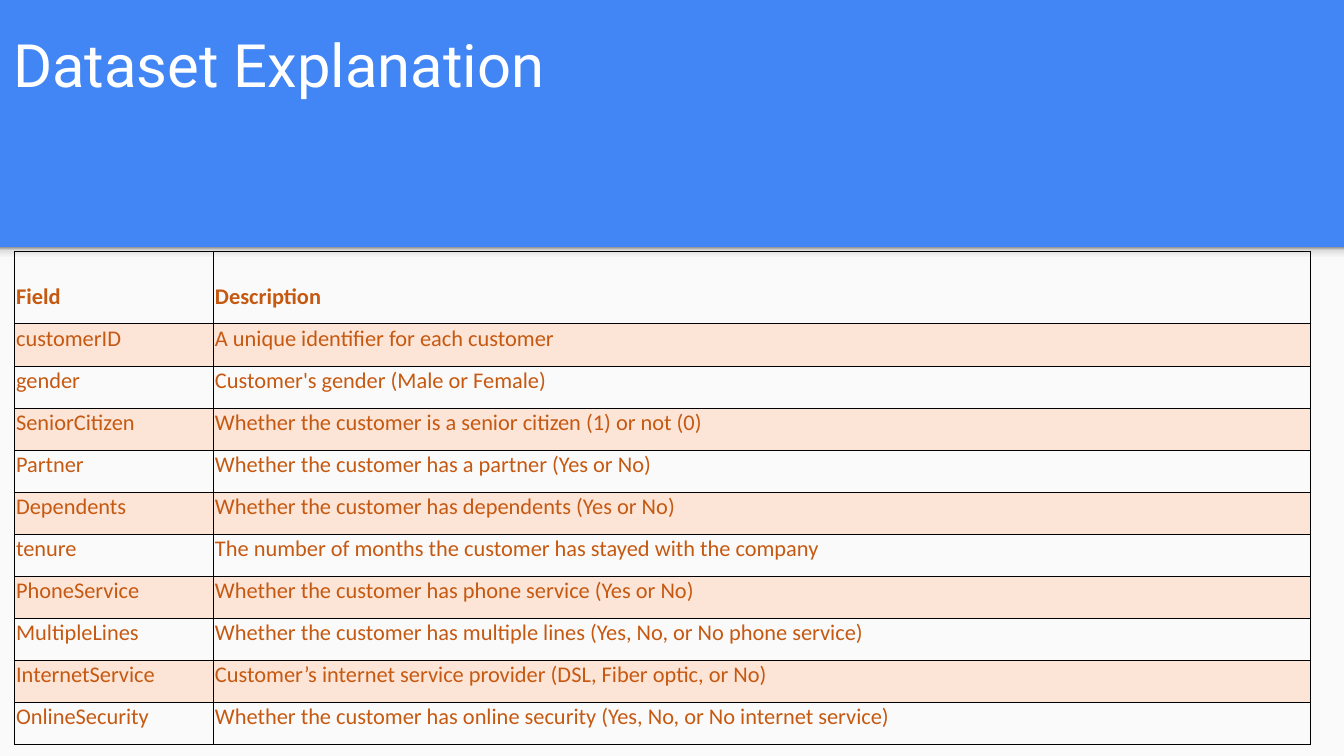
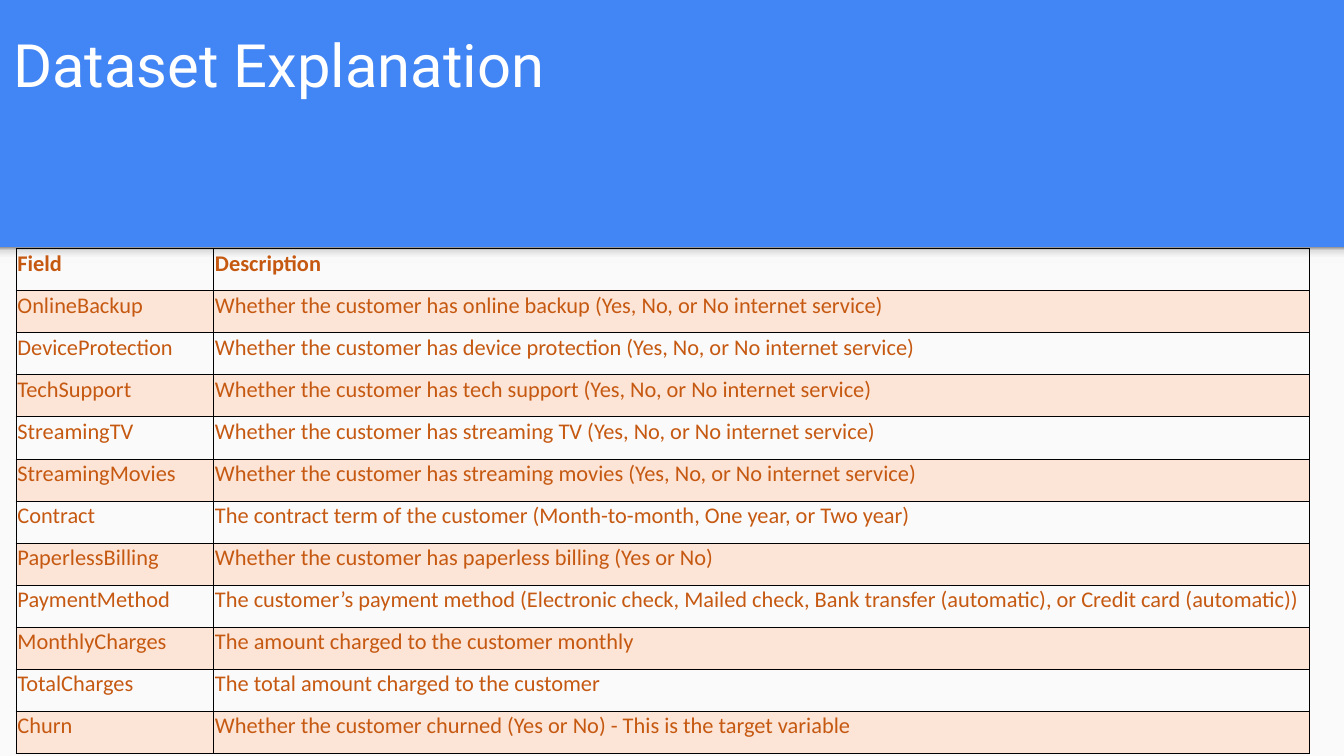
from dataclasses import dataclass

from lxml.etree import SubElement
from pptx import Presentation
from pptx.dml.color import RGBColor
from pptx.enum.shapes import MSO_SHAPE
from pptx.enum.text import MSO_ANCHOR
from pptx.oxml.ns import qn
from pptx.util import Inches, Pt


@dataclass(frozen=True)
class Theme:
    blue: str = "4285F4"
    panel: str = "FAFAFA"
    white: str = "FFFFFF"
    table_text: str = "C65911"
    stripe: str = "FCE4D6"
    border: str = "000000"
    shadow_stops: tuple = ((0, "F9F9F9"), (36, "F9F9F9"), (80, "DEDEDE"), (100, "999999"))
    title_font: str = "Roboto"
    table_font: str = "Calibri"
    title_size: int = 32
    table_size: int = 12
    border_width: float = 0.5


THEME = Theme()
SLIDE_WIDTH = 10
SLIDE_HEIGHT = SLIDE_WIDTH * 9 / 16
PANEL_TOP = 1.84
SHADOW_HEIGHT = 0.12
ROW_HEIGHT = 0.22  # rows grow to fit their text
CELL_BOTTOM_MARGIN = 7.4 / 72
HEADER = ("Field", "Description")

ACCOUNT_FIELDS = [
    ("customerID", "A unique identifier for each customer"),
    ("gender", "Customer's gender (Male or Female)"),
    ("SeniorCitizen", "Whether the customer is a senior citizen (1) or not (0)"),
    ("Partner", "Whether the customer has a partner (Yes or No)"),
    ("Dependents", "Whether the customer has dependents (Yes or No)"),
    ("tenure", "The number of months the customer has stayed with the company"),
    ("PhoneService", "Whether the customer has phone service (Yes or No)"),
    ("MultipleLines", "Whether the customer has multiple lines (Yes, No, or No phone service)"),
    ("InternetService", "Customer’s internet service provider (DSL, Fiber optic, or No)"),
    ("OnlineSecurity", "Whether the customer has online security (Yes, No, or No internet service)"),
]

SERVICE_FIELDS = [
    ("OnlineBackup", "Whether the customer has online backup (Yes, No, or No internet service)"),
    ("DeviceProtection", "Whether the customer has device protection (Yes, No, or No internet service)"),
    ("TechSupport", "Whether the customer has tech support (Yes, No, or No internet service)"),
    ("StreamingTV", "Whether the customer has streaming TV (Yes, No, or No internet service)"),
    ("StreamingMovies", "Whether the customer has streaming movies (Yes, No, or No internet service)"),
    ("Contract", "The contract term of the customer (Month-to-month, One year, or Two year)"),
    ("PaperlessBilling", "Whether the customer has paperless billing (Yes or No)"),
    ("PaymentMethod", "The customer’s payment method (Electronic check, Mailed check, "
                      "Bank transfer (automatic), or Credit card (automatic))"),
    ("MonthlyCharges", "The amount charged to the customer monthly"),
    ("TotalCharges", "The total amount charged to the customer"),
    ("Churn", "Whether the customer churned (Yes or No) - This is the target variable"),
]


def rgb(color):
    return RGBColor.from_string(color)


def write_text(text_frame, text, *, font, size, color, bold=False):
    run = text_frame.paragraphs[0].add_run()
    run.text = text
    run.font.name = font
    run.font.size = Pt(size)
    run.font.bold = bold
    run.font.color.rgb = rgb(color)


def set_margins(holder, left, top, right, bottom):
    """Set the inner margins of a text frame or a table cell."""
    holder.margin_left, holder.margin_top = Inches(left), Inches(top)
    holder.margin_right, holder.margin_bottom = Inches(right), Inches(bottom)


def add_band(slide, top, height):
    band = slide.shapes.add_shape(
        MSO_SHAPE.RECTANGLE, 0, Inches(top), Inches(SLIDE_WIDTH), Inches(height))
    band.shadow.inherit = False
    band.line.fill.background()
    return band


def fill_gradient(shape, stops, angle):
    """Fill with (percent, colour) stops; the angle runs counter-clockwise."""
    shape.fill.gradient()
    shape.fill.gradient_angle = angle
    stop_list = shape._element.spPr.find(qn("a:gradFill")).find(qn("a:gsLst"))
    for stop in list(stop_list):
        stop_list.remove(stop)
    for percent, color in stops:
        stop = SubElement(stop_list, qn("a:gs"), pos=str(percent * 1000))
        SubElement(stop, qn("a:srgbClr"), val=color)


def add_panel(slide):
    """Draw the light lower panel and the soft shadow along its top edge."""
    panel = add_band(slide, PANEL_TOP, SLIDE_HEIGHT - PANEL_TOP)
    panel.fill.solid()
    panel.fill.fore_color.rgb = rgb(THEME.panel)
    fill_gradient(add_band(slide, PANEL_TOP, SHADOW_HEIGHT), THEME.shadow_stops, 90)


def add_title(slide, text):
    text_frame = slide.shapes.add_textbox(0, 0, Inches(8.99), Inches(0.84)).text_frame
    text_frame.word_wrap = True
    text_frame.vertical_anchor = MSO_ANCHOR.BOTTOM
    set_margins(text_frame, 0.1, 0.1, 0.1, 0.1)
    write_text(text_frame, text, font=THEME.title_font, size=THEME.title_size,
               color=THEME.white)


def add_borders(cell):
    properties = cell._tc.get_or_add_tcPr()
    for side in ("lnL", "lnR", "lnT", "lnB"):
        line = SubElement(properties, qn(f"a:{side}"), w=str(Pt(THEME.border_width)))
        SubElement(SubElement(line, qn("a:solidFill")), qn("a:srgbClr"), val=THEME.border)


def format_cell(cell, text, *, bold, striped):
    cell.vertical_anchor = MSO_ANCHOR.BOTTOM
    set_margins(cell, 0.01, 0.01, 0.01, CELL_BOTTOM_MARGIN)
    add_borders(cell)
    if striped:
        cell.fill.solid()
        cell.fill.fore_color.rgb = rgb(THEME.stripe)
    else:
        cell.fill.background()
    write_text(cell.text_frame, text, font=THEME.table_font, size=THEME.table_size,
               color=THEME.table_text, bold=bold)


def add_field_table(slide, fields, *, left, top, widths, header_height):
    rows = [HEADER, *fields]
    heights = [header_height] + [ROW_HEIGHT] * len(fields)
    table = slide.shapes.add_table(
        len(rows), len(HEADER), Inches(left), Inches(top),
        Inches(sum(widths)), Inches(sum(heights))).table
    table.first_row = table.horz_banding = False
    for column, width in zip(table.columns, widths):
        column.width = Inches(width)
    for row_index, (values, height) in enumerate(zip(rows, heights)):
        table.rows[row_index].height = Inches(height)
        for column_index, value in enumerate(values):
            format_cell(table.cell(row_index, column_index), value,
                        bold=row_index == 0, striped=row_index % 2 == 1)


def add_dataset_slide(presentation, fields, **table_layout):
    slide = presentation.slides.add_slide(presentation.slide_layouts[6])
    add_panel(slide)
    add_title(slide, "Dataset Explanation")
    add_field_table(slide, fields, **table_layout)


def main():
    presentation = Presentation()
    presentation.slide_width = Inches(SLIDE_WIDTH)
    presentation.slide_height = Inches(SLIDE_HEIGHT)
    background = presentation.slide_master.background.fill
    background.solid()
    background.fore_color.rgb = rgb(THEME.blue)

    add_dataset_slide(presentation, ACCOUNT_FIELDS, left=0.11, top=1.87,
                      widths=(1.48, 8.16), header_height=0.54)
    add_dataset_slide(presentation, SERVICE_FIELDS, left=0.12, top=1.85,
                      widths=(1.47, 8.15), header_height=0.3)
    presentation.save("out.pptx")


if __name__ == "__main__":
    main()
